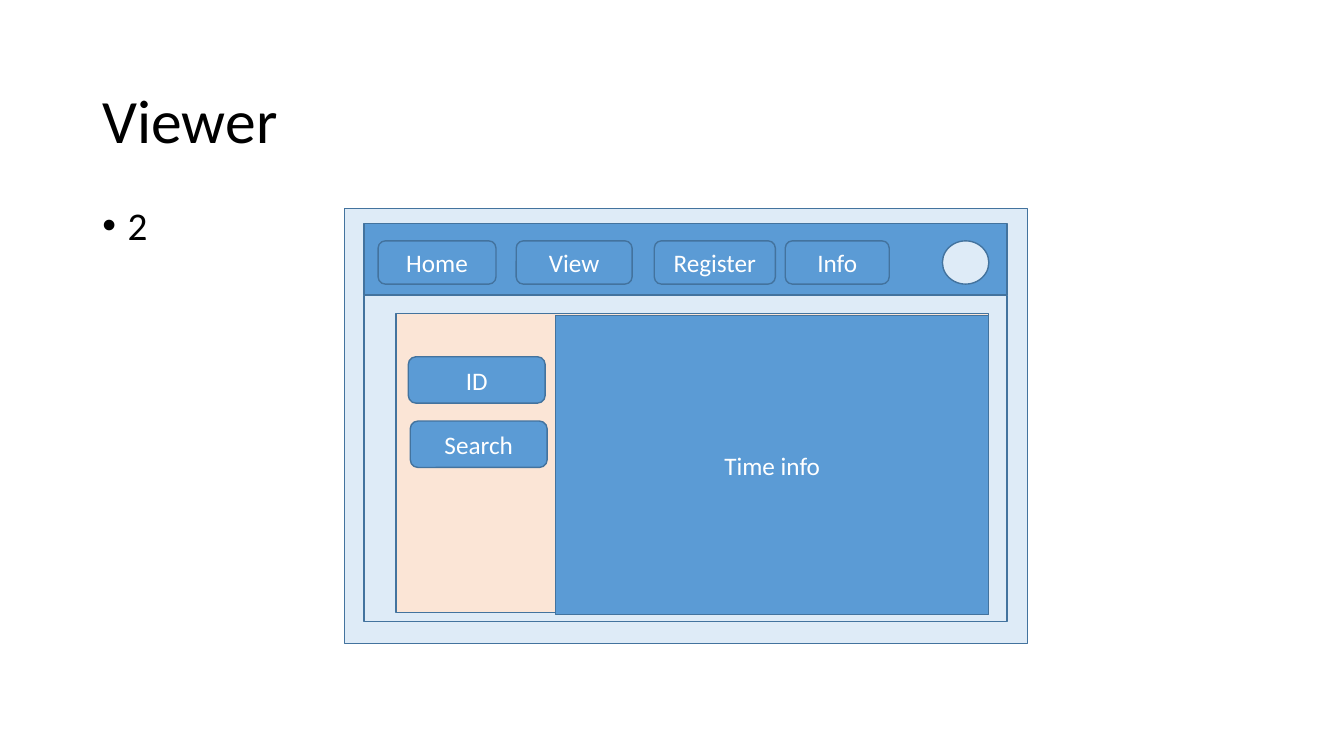
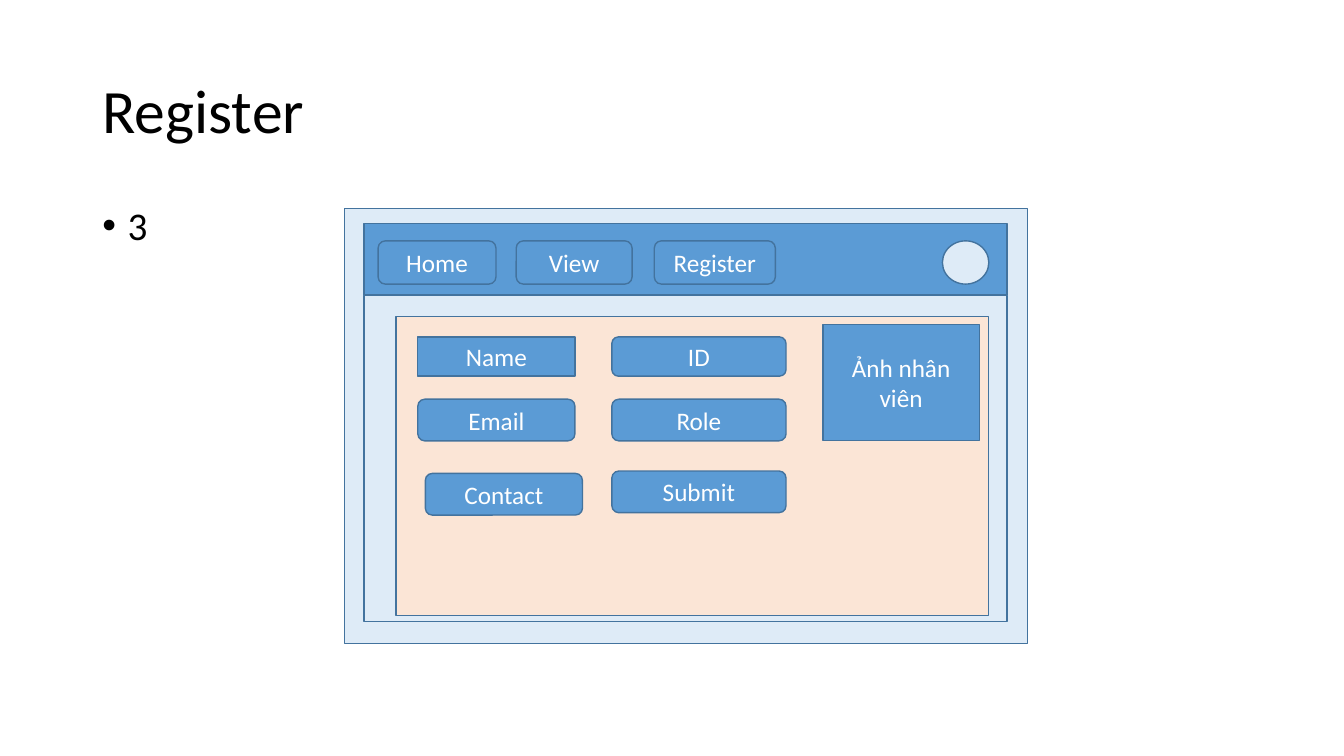
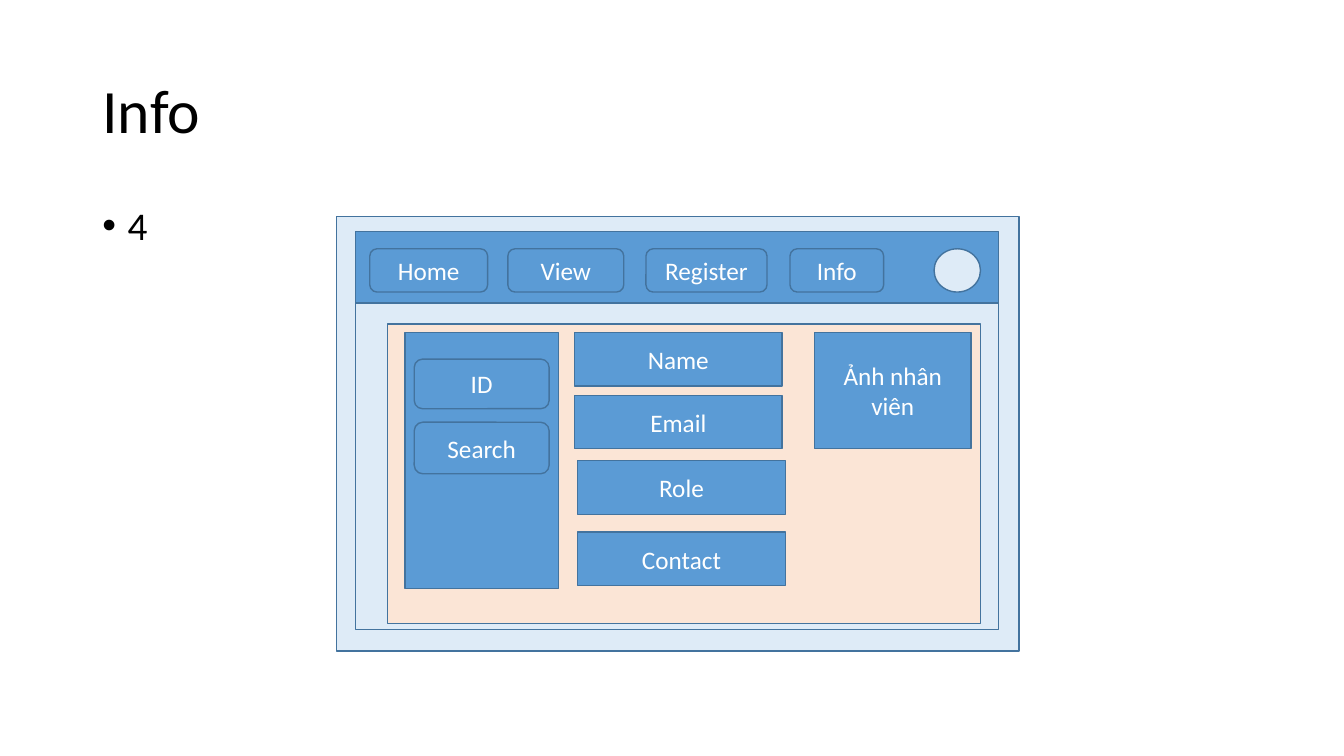
from functools import partial

from lxml import etree
from pptx import Presentation
from pptx.dml.color import RGBColor
from pptx.enum.shapes import MSO_SHAPE
from pptx.enum.text import MSO_ANCHOR, PP_ALIGN
from pptx.oxml.ns import qn
from pptx.util import Cm, Pt

RECT, ROUND, OVAL = MSO_SHAPE.RECTANGLE, MSO_SHAPE.ROUNDED_RECTANGLE, MSO_SHAPE.OVAL
LEFT, CENTER, MIDDLE = PP_ALIGN.LEFT, PP_ALIGN.CENTER, MSO_ANCHOR.MIDDLE

BLACK = RGBColor(0x00, 0x00, 0x00)
WHITE = RGBColor(0xFF, 0xFF, 0xFF)
BLUE = RGBColor(0x5B, 0x9B, 0xD5)
PALE_BLUE = RGBColor(0xDE, 0xEB, 0xF7)
PEACH = RGBColor(0xFB, 0xE5, 0xD6)
OUTLINE = RGBColor(0x43, 0x73, 0x9E)

FONT = "Calibri"
TITLE_ONLY = 5
MARGIN, CONTENT_WIDTH = 2.33, 29.21
ORIGIN = (8.69, 5.26)
SHIFTED_ORIGIN = (8.48, 5.46)
PANEL_SIZE = (14.94, 7.54)
PHOTO_TEXT = "Ảnh nhân viên"


def style(p, size, color, align):
    """Set the font and alignment of a paragraph."""
    p.font.name, p.font.size, p.font.color.rgb = FONT, Pt(size), color
    p.alignment = align


def add_title(s, text, top):
    """Place and format the title placeholder."""
    title = s.shapes.title
    title.left, title.top = Cm(MARGIN), Cm(top)
    title.width, title.height = Cm(CONTENT_WIDTH), Cm(3.68)
    tf = title.text_frame
    tf.text = text
    tf.vertical_anchor = MIDDLE
    p = tf.paragraphs[0]
    p.line_spacing = 0.9
    style(p, 44, BLACK, LEFT)


def add_bullet(s, text):
    """Add the bulleted body text."""
    sp = s.shapes.add_textbox(Cm(MARGIN), Cm(5.07), Cm(CONTENT_WIDTH), Cm(12.09))
    tf = sp.text_frame
    tf.word_wrap = True
    p = tf.paragraphs[0]
    p.text = text
    p.line_spacing, p.space_before = 0.9, Pt(10)
    style(p, 28, BLACK, LEFT)
    pPr = p._p.get_or_add_pPr()
    pPr.set("marL", str(Cm(0.64)))
    pPr.set("indent", str(-Cm(0.64)))
    bullet_font = etree.Element(qn("a:buFont"), typeface="Arial")
    bullet = etree.Element(qn("a:buChar"), char="•")
    default_run = pPr.find(qn("a:defRPr"))
    default_run.addprevious(bullet_font)
    default_run.addprevious(bullet)


def add_box(s, origin, kind, left, top, width, height, text="", fill=BLUE):
    """Add an outlined shape placed relative to the mockup's corner."""
    x, y = origin
    sp = s.shapes.add_shape(kind, Cm(x + left), Cm(y + top), Cm(width), Cm(height))
    sp.shadow.inherit = False
    sp.fill.solid()
    sp.fill.fore_color.rgb = fill
    sp.line.color.rgb, sp.line.width = OUTLINE, Pt(1)
    if text:
        tf = sp.text_frame
        tf.text = text
        tf.vertical_anchor = MIDDLE
        style(tf.paragraphs[0], 18, WHITE, CENTER)


def add_window(box, panel_top, info_button=None):
    """Draw the window, its navigation bar and its content panel."""
    box(RECT, 0, 0, 17.2, 10.95, fill=PALE_BLUE)
    box(RECT, 0.48, 0.38, 16.21, 1.8)
    buttons = [("Home", 0.84, 2.97), ("View", 4.32, 2.92), ("Register", 7.8, 3.05)]
    if info_button:
        buttons.append(("Info", *info_button))
    for text, left, width in buttons:
        box(ROUND, left, 0.81, width, 1.09, text)
    box(OVAL, 15.06, 0.81, 1.17, 1.09, fill=PALE_BLUE)
    box(RECT, 0.48, 2.18, 16.21, 8.23, fill=PALE_BLUE)
    box(RECT, 1.29, panel_top, *PANEL_SIZE, fill=PEACH)


def add_photo(box):
    """Draw the placeholder for the employee photo."""
    box(RECT, 12.05, 2.92, 3.94, 2.92, PHOTO_TEXT)


def start_slide(prs, title, number, title_top=1.01, origin=ORIGIN):
    """Add a slide with title and bullet; return its box-drawing function."""
    s = prs.slides.add_slide(prs.slide_layouts[TITLE_ONLY])
    add_title(s, title, title_top)
    add_bullet(s, number)
    return partial(add_box, s, origin)


def viewer_slide(prs):
    """Build the viewer screen."""
    box = start_slide(prs, "Viewer", "2", title_top=1.27)
    add_window(box, 2.64, info_button=(11.1, 2.62))
    box(RECT, 5.31, 2.69, 10.92, 7.54, "Time info")
    box(ROUND, 1.6, 3.73, 3.45, 1.17, "ID")
    box(ROUND, 1.65, 5.35, 3.45, 1.17, "Search")


def register_slide(prs):
    """Build the registration form."""
    box = start_slide(prs, "Register", "3")
    add_window(box, 2.71)
    add_photo(box)
    box(RECT, 1.84, 3.23, 3.96, 0.99, "Name")
    box(ROUND, 6.73, 3.23, 4.39, 0.99, "ID")
    box(ROUND, 1.84, 4.8, 3.96, 1.05, "Email")
    box(ROUND, 6.73, 4.8, 4.39, 1.05, "Role")
    box(ROUND, 6.73, 6.61, 4.39, 1.05, "Submit")
    box(ROUND, 2.03, 6.67, 3.96, 1.05, "Contact")


def info_slide(prs):
    """Build the employee information screen."""
    box = start_slide(prs, "Info", "4", origin=SHIFTED_ORIGIN)
    add_window(box, 2.71, info_button=(11.43, 2.36))
    add_photo(box)
    box(RECT, 1.73, 2.92, 3.87, 6.45)
    fields = [("Name", 6, 2.92), ("Email", 6, 4.5),
              ("Role", 6.08, 6.15), ("Contact", 6.08, 7.95)]
    for text, left, top in fields:
        box(RECT, left, top, 5.23, 1.35, text)
    box(ROUND, 1.96, 3.59, 3.4, 1.25, "ID")
    box(ROUND, 1.96, 5.18, 3.4, 1.3, "Search")


def main():
    """Build and save the presentation."""
    prs = Presentation()
    prs.slide_width, prs.slide_height = Cm(33.87), Cm(19.05)
    viewer_slide(prs)
    register_slide(prs)
    info_slide(prs)
    prs.save("out.pptx")


main()
